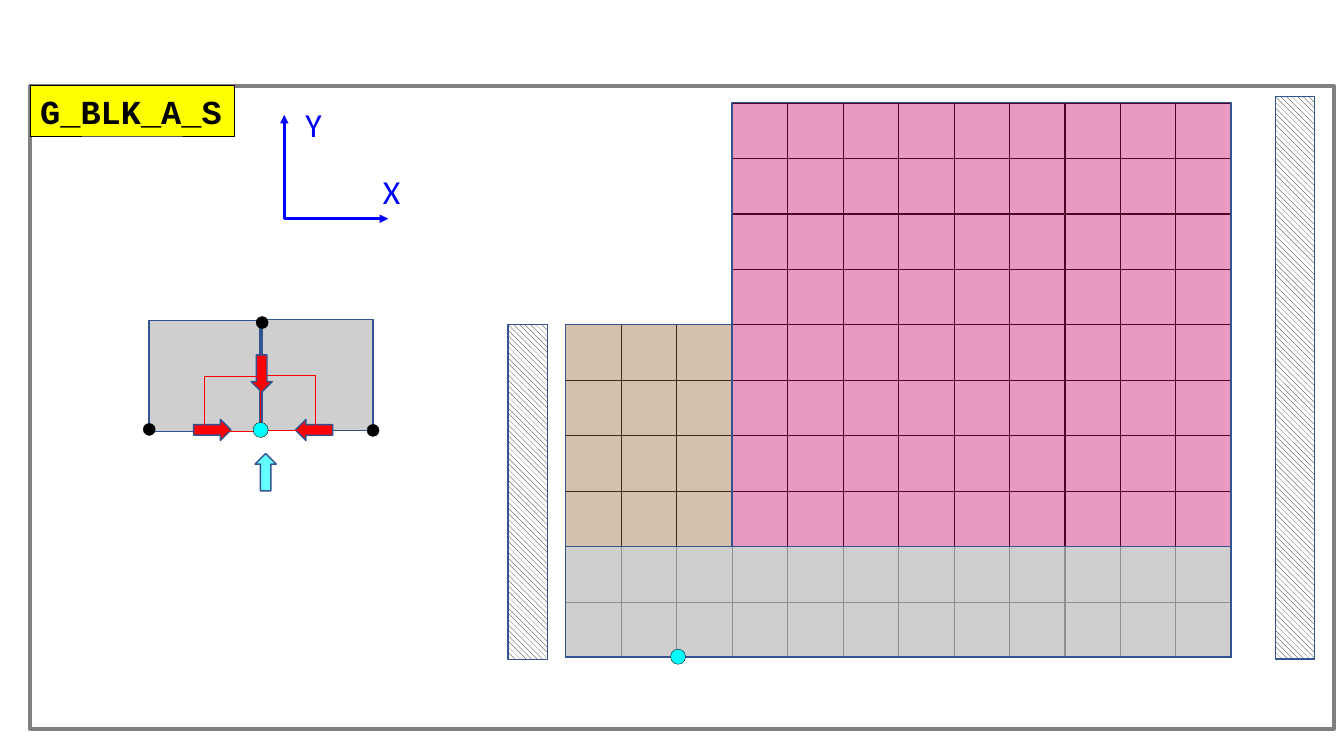
from dataclasses import dataclass
from itertools import product
from typing import Any, Optional

from lxml import etree
from pptx import Presentation
from pptx.dml.color import RGBColor
from pptx.enum import dml, shapes, text
from pptx.oxml import ns
from pptx.util import Inches, Pt

RECT = shapes.MSO_SHAPE.RECTANGLE
OVAL = shapes.MSO_SHAPE.OVAL
ARROW = shapes.MSO_SHAPE.UP_ARROW
CELL = 0.55


@dataclass(frozen=True)
class Theme:
    black: str = "000000"
    white: str = "FFFFFF"
    outline: str = "325491"
    frame: str = "808080"
    label: str = "FFFF00"
    axis: str = "0000FF"
    base: str = "BFBFBF"
    left: str = "996633"
    right: str = "CC0066"
    red: str = "FF0000"
    load: str = "66FFFF"
    node: str = "00FFFF"
    axis_font: str = "Calibri"
    label_font: str = "Courier New"
    size: int = 24
    hairline: float = 0.25
    thin: float = 1
    axis_width: float = 2
    frame_width: float = 3


THEME = Theme()


@dataclass(frozen=True)
class Block:
    x: float
    y: float
    cols: int
    rows: int
    fill: str
    alpha: int


@dataclass(frozen=True)
class Item:
    kind: Any
    x: float
    y: float
    w: float
    h: float
    fill: Optional[str] = None
    line: str = THEME.outline
    weight: float = THEME.thin
    alpha: int = 100
    rotation: int = 0
    hatched: bool = False


@dataclass(frozen=True)
class Axis:
    name: str
    end_x: float
    end_y: float
    text_x: float
    text_y: float


ORIGIN = (2.82, 2.17)
AXES = [Axis("X", 3.85, 2.17, 3.7, 1.65), Axis("Y", 2.82, 1.14, 2.93, 0.98)]

BLOCKS = [
    Block(5.61, 5.42, 12, 2, THEME.base, 75),
    Block(5.61, 3.22, 3, 4, THEME.left, 40),
    Block(7.26, 1.02, 9, 8, THEME.right, 40),
]


def dot(x: float, y: float, size: float, fill: str) -> Item:
    return Item(OVAL, x, y, size, size, fill, THEME.black, THEME.hairline)


def wall(x: float, y: float, height: float) -> Item:
    return Item(RECT, x, y, 0.39, height, hatched=True)


def arrow(x: float, y: float, fill: str, rotation: int) -> Item:
    return Item(ARROW, x, y, 0.21, 0.37, fill, rotation=rotation)


def element(x: float, y: float) -> Item:
    return Item(RECT, x, y, 1.1, 1.1, THEME.base, alpha=75)


def sub_element(x: float, y: float) -> Item:
    return Item(RECT, x, y, CELL, CELL, None, THEME.red, THEME.hairline)


WALLS = [wall(5.04, 3.22, 3.32), wall(12.65, 0.96, 5.58)]

STENCIL = [
    element(2.6, 3.17),
    element(1.48, 3.18),
    dot(2.54, 3.14, 0.12, THEME.black),
    dot(3.64, 4.21, 0.12, THEME.black),
    dot(1.42, 4.2, 0.12, THEME.black),
    arrow(2.53, 4.5, THEME.load, 0),
    arrow(3.01, 4.08, THEME.red, 270),
    sub_element(2.58, 3.72),
]

FRAME = Item(RECT, 0.3, 0.85, 12.93, 6.38, None, THEME.frame, THEME.frame_width)
LABEL = Item(RECT, 0.3, 0.85, 2.02, 0.5, THEME.label, THEME.black, THEME.hairline)

FOREGROUND = [
    arrow(2.49, 3.52, THEME.red, 180),
    dot(6.65, 6.44, 0.15, THEME.node),
    arrow(2, 4.08, THEME.red, 90),
    sub_element(2.03, 3.73),
    dot(2.51, 4.19, 0.15, THEME.node),
]


def rgb(color: str) -> RGBColor:
    return RGBColor.from_string(color)


def draw(s: Any, item: Item) -> Any:
    sp = s.shapes.add_shape(
        item.kind, Inches(item.x), Inches(item.y), Inches(item.w), Inches(item.h)
    )
    sp.shadow.inherit = False
    sp.rotation = item.rotation
    sp.line.color.rgb = rgb(item.line)
    sp.line.width = Pt(item.weight)
    if item.hatched:
        sp.fill.patterned()
        sp.fill.pattern = dml.MSO_PATTERN.WIDE_DOWNWARD_DIAGONAL
        sp.fill.fore_color.rgb = rgb(THEME.black)
        sp.fill.back_color.rgb = rgb(THEME.white)
    elif item.fill:
        sp.fill.solid()
        sp.fill.fore_color.rgb = rgb(item.fill)
        if item.alpha < 100:
            color = sp._element.spPr.find(ns.qn("a:solidFill"))[0]
            etree.SubElement(color, ns.qn("a:alpha"), val=str(item.alpha * 1000))
    else:
        sp.fill.background()
    return sp


def write(sp: Any, words: str, font: str, color: str, bold: bool = False) -> None:
    tf = sp.text_frame
    tf.word_wrap = False
    tf.auto_size = text.MSO_AUTO_SIZE.SHAPE_TO_FIT_TEXT
    p = tf.paragraphs[0]
    p.text = words
    p.alignment = text.PP_ALIGN.LEFT
    p.font.name = font
    p.font.size = Pt(THEME.size)
    p.font.bold = bold
    p.font.color.rgb = rgb(color)


def draw_cells(s: Any, block: Block) -> None:
    for row, col in product(range(block.rows), range(block.cols)):
        x, y = block.x + col * CELL, block.y + row * CELL
        draw(s, Item(RECT, x, y, CELL, CELL, None, THEME.black, THEME.hairline))


def draw_cover(s: Any, block: Block) -> None:
    w, h = block.cols * CELL, block.rows * CELL
    draw(s, Item(RECT, block.x, block.y, w, h, block.fill, alpha=block.alpha))


def draw_axis(s: Any, axis: Axis) -> None:
    ends = [Inches(v) for v in (*ORIGIN, axis.end_x, axis.end_y)]
    line = s.shapes.add_connector(shapes.MSO_CONNECTOR.STRAIGHT, *ends)
    line.line.color.rgb = rgb(THEME.axis)
    line.line.width = Pt(THEME.axis_width)
    etree.SubElement(line.line._get_or_add_ln(), ns.qn("a:tailEnd"), type="triangle")
    etree.SubElement(line._element.spPr, ns.qn("a:effectLst"))
    box = s.shapes.add_textbox(
        Inches(axis.text_x), Inches(axis.text_y), Inches(0.38), Inches(0.5)
    )
    write(box, axis.name, THEME.axis_font, THEME.axis)


def main() -> None:
    prs = Presentation()
    prs.slide_width, prs.slide_height = Inches(13.33), Inches(7.5)
    s = prs.slides.add_slide(prs.slide_layouts[6])
    for block in BLOCKS:
        draw_cells(s, block)
    for block in BLOCKS:
        draw_cover(s, block)
    for item in WALLS:
        draw(s, item)
    for axis in AXES:
        draw_axis(s, axis)
    for item in [*STENCIL, FRAME]:
        draw(s, item)
    write(draw(s, LABEL), "G_BLK_A_S", THEME.label_font, THEME.black, bold=True)
    for item in FOREGROUND:
        draw(s, item)
    prs.save("out.pptx")


if __name__ == "__main__":
    main()
